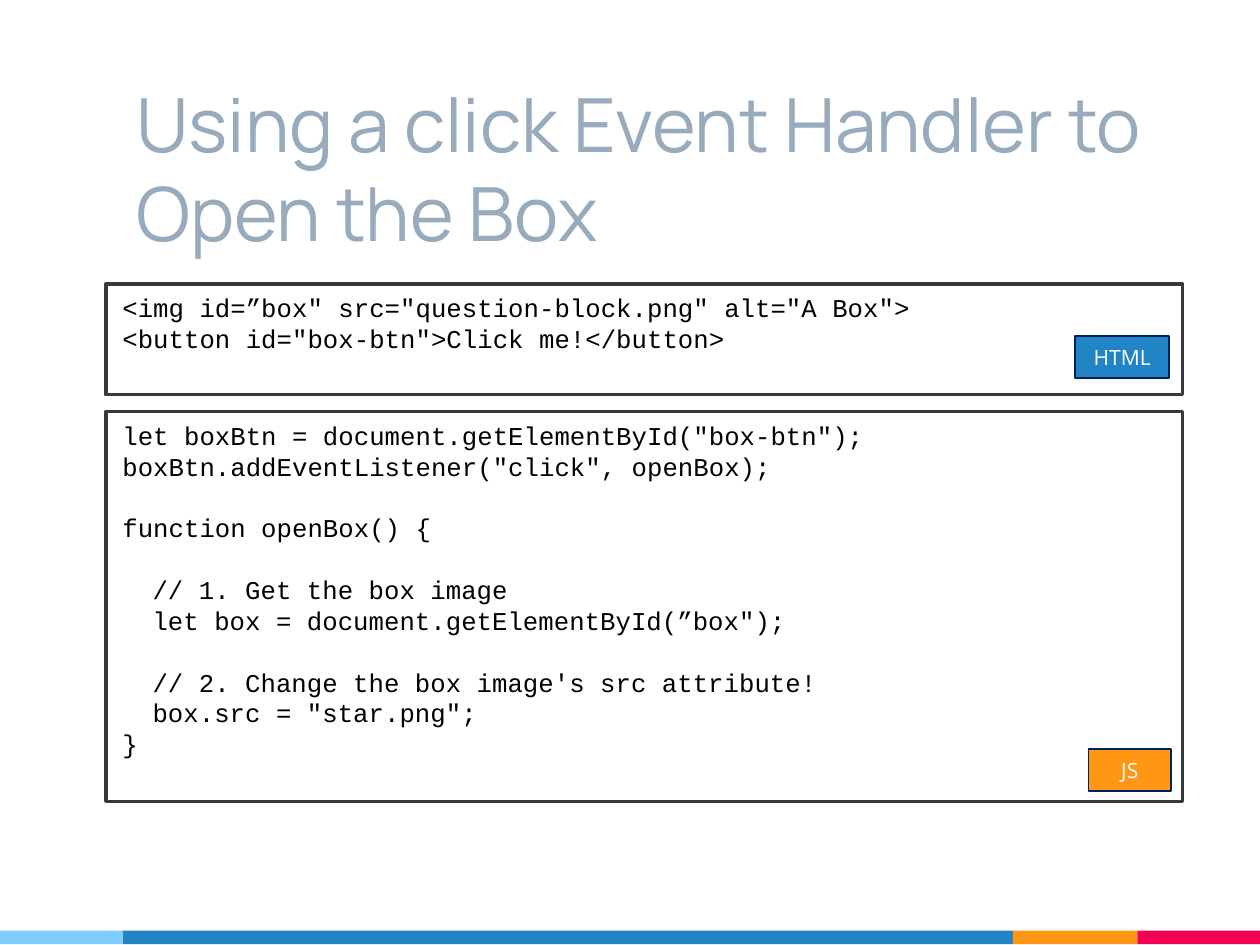
from pptx import Presentation
from pptx.dml.color import RGBColor
from pptx.enum.shapes import MSO_SHAPE
from pptx.enum.text import MSO_ANCHOR, PP_ALIGN
from pptx.util import Inches, Pt

RECTANGLE = MSO_SHAPE.RECTANGLE
TOP, MIDDLE = MSO_ANCHOR.TOP, MSO_ANCHOR.MIDDLE
LEFT, CENTER = PP_ALIGN.LEFT, PP_ALIGN.CENTER

SKY = RGBColor(0x7E, 0xCE, 0xFD)
BLUE = RGBColor(0x21, 0x85, 0xC5)
ORANGE = RGBColor(0xFF, 0x97, 0x15)
PINK = RGBColor(0xF2, 0x02, 0x53)
GREY_BLUE = RGBColor(0x97, 0xAB, 0xBC)
CHARCOAL = RGBColor(0x34, 0x3A, 0x40)
NAVY = RGBColor(0x00, 0x20, 0x60)
BLACK = RGBColor(0x00, 0x00, 0x00)
WHITE = RGBColor(0xFF, 0xFF, 0xFF)

TITLE_FONT = {"name": "Manrope", "size": Pt(32)}
CODE_FONT = {"name": "Courier New", "size": Pt(11)}
TAG_FONT = {"name": "Open Sans", "size": Pt(9)}
CODE_LINE = Pt(13.2)
CODE_INDENT = Inches(0.18)

HTML_CODE = """<img id=”box" src="question-block.png" alt="A Box">
<button id="box-btn">Click me!</button>"""

JS_CODE = """let boxBtn = document.getElementById("box-btn");
boxBtn.addEventListener("click", openBox);

function openBox() {

  // 1. Get the box image
  let box = document.getElementById(”box");

  // 2. Change the box image's src attribute!
  box.src = "star.png";
}"""

# Slide in 4:3 proportion
prs = Presentation()
prs.slide_width, prs.slide_height = Inches(7.5), Inches(7.5 * 3 / 4)
slide = prs.slides.add_slide(prs.slide_layouts[6])


def add_box(left, top, width, height, fill=None, line=None, weight=0):
    box = slide.shapes.add_shape(
        RECTANGLE, Inches(left), Inches(top), Inches(width), Inches(height))
    box.shadow.inherit = False
    if fill is None:
        box.fill.background()
    else:
        box.fill.solid()
        box.fill.fore_color.rgb = fill
    if line is None:
        box.line.fill.background()
    else:
        box.line.color.rgb = line
        box.line.width = Pt(weight)
    return box


def write(paragraph, text, font, color, align=LEFT):
    paragraph.alignment = align
    run = paragraph.add_run()
    run.text = text
    for attribute, value in font.items():
        setattr(run.font, attribute, value)
    run.font.color.rgb = color


# Colour strip along the bottom edge
strip_left = 0
for width, color in ((0.73, SKY), (5.3, BLUE), (0.74, ORANGE), (0.73, PINK)):
    add_box(strip_left, 5.54, width, 0.08, color)
    strip_left += width

# Title
title = slide.shapes.add_textbox(
    Inches(0.73), Inches(0.39), Inches(6.22), Inches(0.94)).text_frame
title_format = {
    "word_wrap": True, "vertical_anchor": TOP, "margin_top": Inches(0.08),
    "margin_left": Inches(0.08), "margin_right": Inches(0.07),
}
for attribute, value in title_format.items():
    setattr(title, attribute, value)
title.paragraphs[0].line_spacing = Pt(38)
write(title.paragraphs[0], "Using a click Event Handler to Open the Box",
      TITLE_FONT, GREY_BLUE)

# Code panels, each with its language tag
panels = (
    (HTML_CODE, 1.69, 0.66, "HTML", BLUE, (6.4, 2, 0.56, 0.25)),
    (JS_CODE, 2.45, 2.32, "JS", ORANGE, (6.48, 4.46, 0.49, 0.25)),
)
for code, top, height, language, tag_color, tag_place in panels:
    listing = add_box(0.63, top, 6.41, height, None, CHARCOAL, 1.5).text_frame
    listing.word_wrap = True
    listing.vertical_anchor = TOP
    paragraph, gap = listing.paragraphs[0], 0
    for line in code.split("\n"):
        if not line:
            gap = CODE_LINE
            continue
        if paragraph is None:
            paragraph = listing.add_paragraph()
        paragraph.line_spacing = CODE_LINE
        paragraph.space_before = gap
        if line.startswith("  "):
            paragraph._p.get_or_add_pPr().set("marL", str(CODE_INDENT))
        write(paragraph, line.strip(), CODE_FONT, BLACK)
        paragraph, gap = None, 0

    tag = add_box(*tag_place, tag_color, NAVY, 0.75).text_frame
    tag.margin_top = tag.margin_bottom = 0
    tag.vertical_anchor = MIDDLE
    write(tag.paragraphs[0], language, TAG_FONT, WHITE, CENTER)

prs.save("out.pptx")
